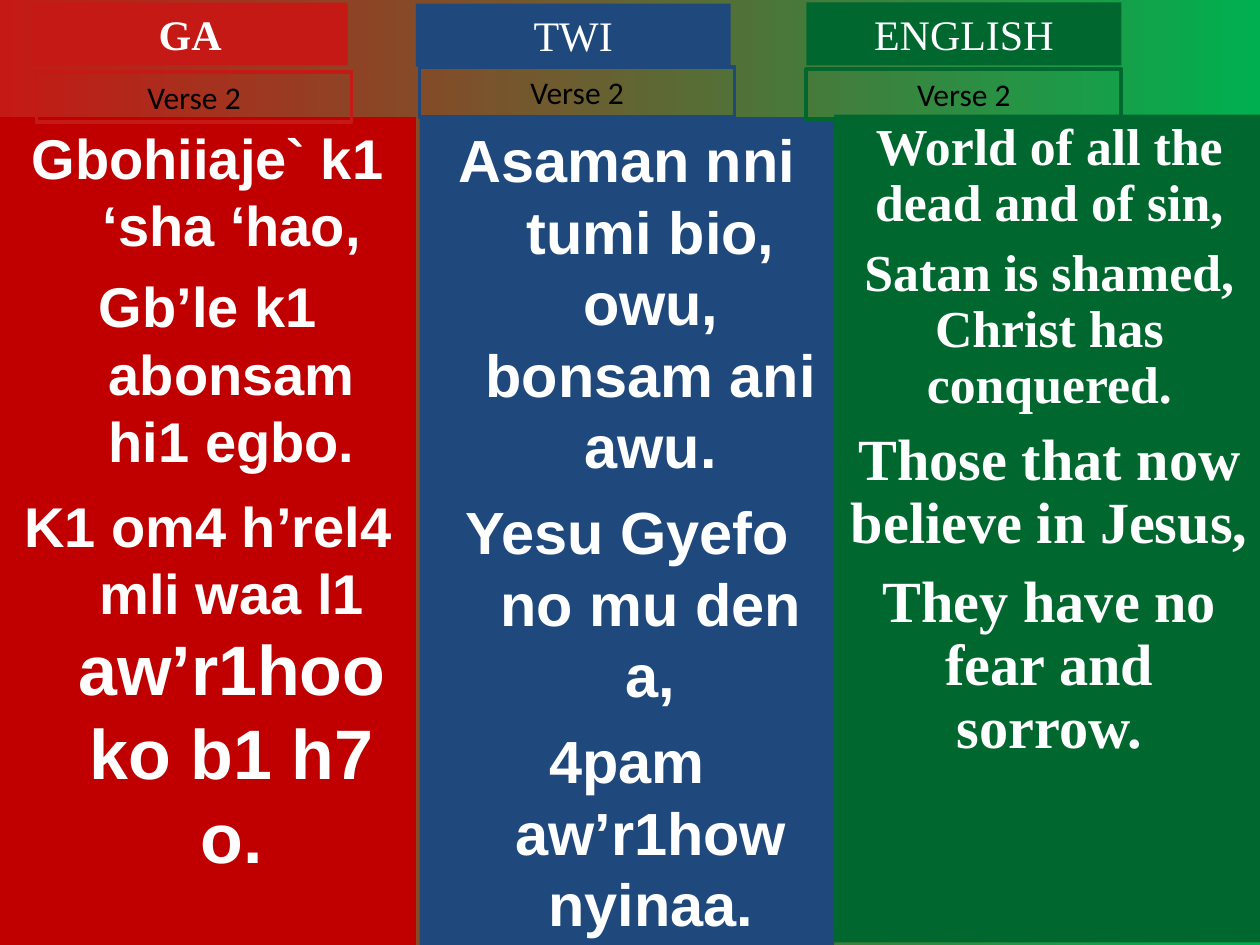
"""Build a three-language hymn verse slide."""
from dataclasses import dataclass

import lxml.etree
import pptx
import pptx.dml.color
import pptx.enum.shapes
import pptx.enum.text
import pptx.oxml.ns
import pptx.util

Inches = pptx.util.Inches
Pt = pptx.util.Pt
WHITE = "FFFFFF"
SERIF = "Times New Roman"
Box = tuple[float, float, float, float]


@dataclass
class Line:
    text: str
    size: float
    gap: float = 0
    tail: str = ""
    big: float = 0


@dataclass
class Lang:
    name: str
    bold: bool
    tint: str
    fill: str
    head: tuple[float, float]
    verse: tuple[float, float]
    body: Box
    font: str
    hang: float
    lead: float | None
    lines: list[Line]


LANGS = [
    Lang("GA", True, "C51915", "C00000", (0.26, 0.02), (0.29, 0.57),
         (0, 0.93, 3.3, 6.57), "Arial", 0.38, None, [
             Line("Gbohiiaje` k1 ‘sha ‘hao,", 32),
             Line("Gb’le k1 abonsam hi1 egbo.", 32, 8),
             Line("K1 om4 h’rel4 mli waa l1 ", 32, 10, "aw’r1hoo ko b1 h7 o.", 40)]),
    Lang("TWI", False, "1F497D", "1F497D", (3.3, 0.03), (3.33, 0.53),
         (3.33, 0.93, 3.29, 6.57), "Arial", 0.38, None, [
             Line("Asaman nni tumi bio, owu, bonsam ani awu.", 34),
             Line("Yesu Gyefo no mu den a,", 34, 8.5),
             Line("4pam aw’r1how nyinaa.", 34, 8.5)]),
    Lang("ENGLISH", False, "00682F", "00682F", (6.4, 0.02), (6.4, 0.55),
         (6.62, 0.91, 3.42, 6.57), SERIF, 0, 0.9, [
             Line("World of all the dead and of sin,", 29.6),
             Line("Satan is shamed, Christ has conquered.", 29.6, 8),
             Line("Those that now believe in Jesus,", 33.3, 9),
             Line("They have no fear and sorrow.", 33.3, 9)]),
]


def paint(color, tone: str) -> None:
    color.rgb = pptx.dml.color.RGBColor.from_string(tone)


def place(shape, box: Box, fill: str = "", edge: str = "") -> None:
    shape.left, shape.top, shape.width, shape.height = map(Inches, box)
    if fill:
        shape.fill.solid()
        paint(shape.fill.fore_color, fill)
    else:
        shape.fill.background()
    if edge:
        paint(shape.line.color, edge)
        shape.line.width = Pt(2.25)
    else:
        shape.line.fill.background()
    frame = shape.text_frame
    frame.word_wrap = True
    frame.auto_size = pptx.enum.text.MSO_AUTO_SIZE.NONE
    frame.vertical_anchor = pptx.enum.text.MSO_ANCHOR.TOP


def style(para, font: str, size: float, tone: str, bold: bool) -> None:
    para.alignment = pptx.enum.text.PP_ALIGN.CENTER
    para.font.name = font
    para.font.size = Pt(size)
    para.font.bold = bold
    paint(para.font.color, tone)


def label(shape, text: str, font: str, size: float, tone: str, bold: bool) -> None:
    para = shape.text_frame.paragraphs[0]
    para.text = text
    style(para, font, size, tone, bold)


def rect(slide):
    shape = slide.shapes.add_shape(pptx.enum.shapes.MSO_SHAPE.RECTANGLE, 0, 0, 0, 0)
    shape.shadow.inherit = False
    return shape


def write(shape, lang: Lang) -> None:
    frame = shape.text_frame
    for num, line in enumerate(lang.lines):
        para = frame.add_paragraph() if num else frame.paragraphs[0]
        props = para._p.get_or_add_pPr()
        props.set("marL", str(Inches(lang.hang)))
        props.set("indent", str(-Inches(lang.hang)))
        lxml.etree.SubElement(props, pptx.oxml.ns.qn("a:buNone"))
        para.space_before = Pt(line.gap)
        para.line_spacing = lang.lead
        style(para, lang.font, line.size, WHITE, True)
        para.add_run().text = line.text
        if line.tail:
            run = para.add_run()
            run.text = line.tail
            run.font.size = Pt(line.big)


def main() -> None:
    deck = pptx.Presentation()
    deck.slide_width, deck.slide_height = Inches(10), Inches(7.5)
    slide = deck.slides.add_slide(deck.slide_layouts[4])
    back = slide.background.fill
    back.gradient()
    back.gradient_angle = 0
    for stop, tone in zip(back.gradient_stops, ("C51915", "00B050")):
        paint(stop.color, tone)

    title, *bodies = list(slide.placeholders)
    spare = bodies.pop(0)
    spare._element.getparent().remove(spare._element)
    for lang, body in zip(LANGS, bodies):
        place(body, lang.body, lang.fill)
        write(body, lang)
        head = title if lang is LANGS[0] else rect(slide)
        place(head, (*lang.head, 2.5, 0.5), lang.tint)
        label(head, lang.name, SERIF, 24, WHITE, lang.bold)
        verse = rect(slide)
        place(verse, (*lang.verse, 2.5, 0.4), edge=lang.tint)
        label(verse, "Verse 2", "Calibri", 18, "000000", False)
    deck.save("out.pptx")


if __name__ == "__main__":
    main()
